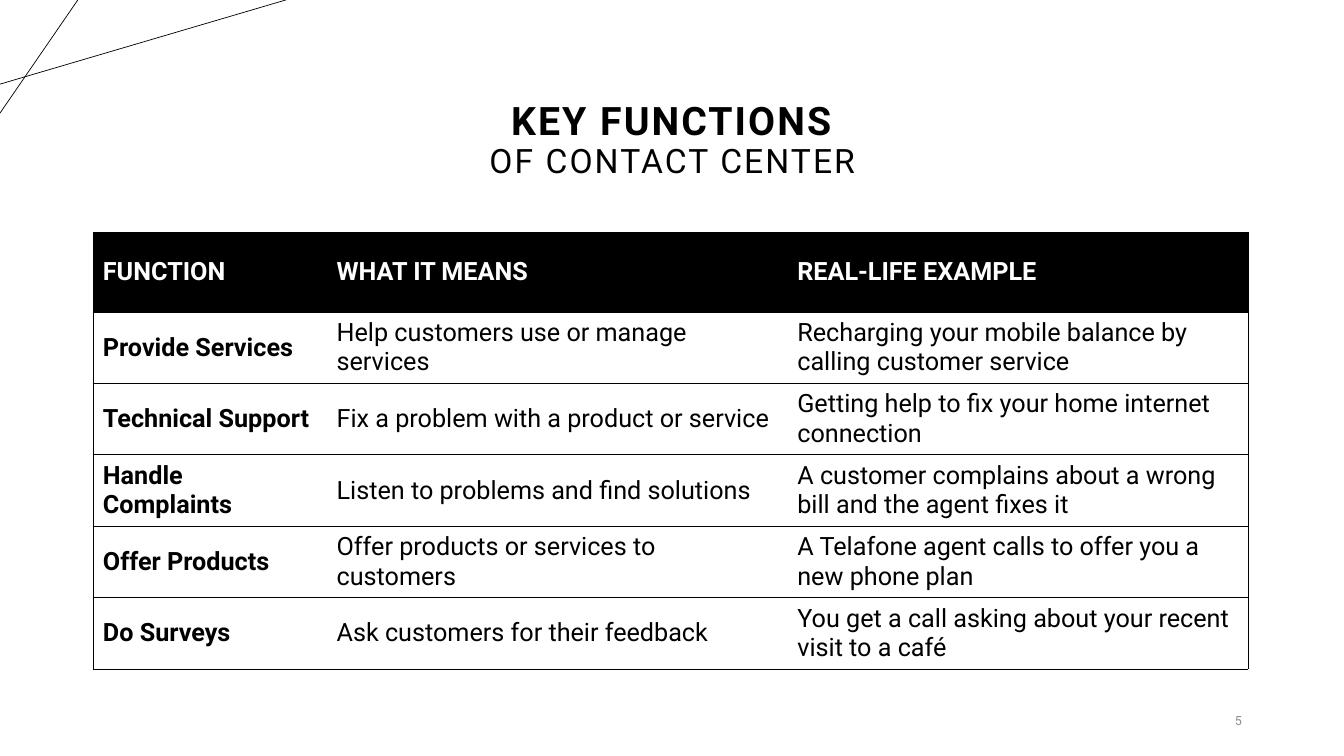
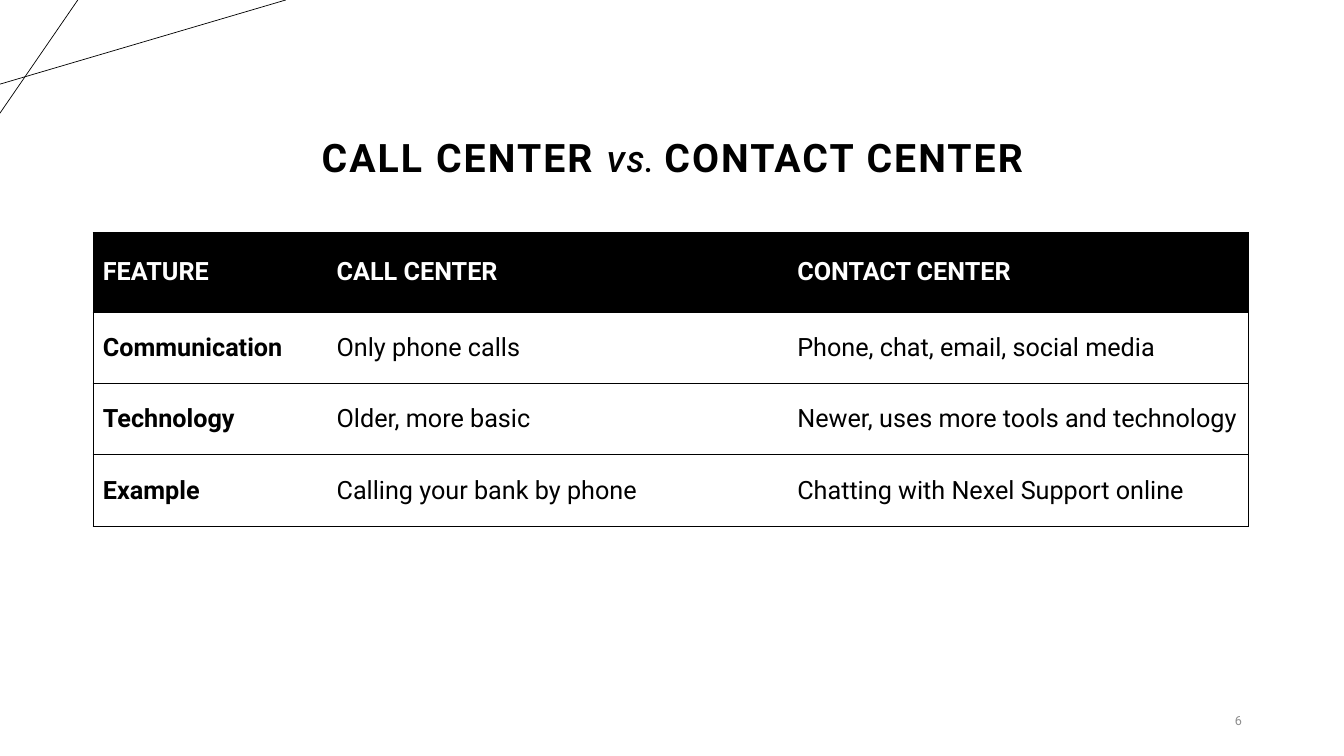
from copy import deepcopy
from lxml import etree
from pptx import Presentation
from pptx import util as u
from pptx.dml.color import RGBColor
from pptx.enum import shapes, text
from pptx.oxml import ns


def rgb(value):
    return RGBColor.from_string(value)


class Deck:
    FONT = "Roboto"
    BLACK, WHITE, GREY = "000000", "FFFFFF", "8C8C8C"
    LEFT = u.Cm(2.34)
    LINE = u.Pt(0.5)
    CORNER_LINES = [(0, 2.12, 7.2, 0), (1.96, 0, 0, 2.85)]
    COLUMNS = [5.89, 11.61, 11.61]
    HEADER_HEIGHT, ROW_HEIGHT = 2, 1.8

    def __init__(self):
        self.prs = Presentation()
        self.prs.slide_width = u.Cm(33.87)
        self.prs.slide_height = u.Cm(19.05)
        self.slide = None

    def add_slide(self, number, title, rows):
        self.slide = self.prs.slides.add_slide(self.prs.slide_layouts[5])
        for ends in self.CORNER_LINES:
            self.line(*ends)
        self.title(title)
        self.table(rows)
        self.page_number(number)

    def font(self, font, size, color, bold=False, italic=False):
        font.name = self.FONT
        font.size = u.Pt(size)
        font.bold = bold
        font.italic = italic
        font.color.rgb = rgb(color)

    def line(self, *ends):
        sp = self.slide.shapes.add_connector(
            shapes.MSO_CONNECTOR.STRAIGHT, *(u.Cm(end) for end in ends))
        sp.line.color.rgb = rgb(self.BLACK)
        sp.line.width = self.LINE
        etree.SubElement(sp._element.spPr, ns.qn("a:effectLst"))

    def title(self, parts):
        sp = self.slide.shapes.title
        sp.left, sp.top = self.LEFT, u.Cm(1)
        sp.width, sp.height = u.Cm(29.21), u.Cm(3.68)
        tf = sp.text_frame
        tf.auto_size = text.MSO_AUTO_SIZE.NONE
        tf.vertical_anchor = text.MSO_ANCHOR.BOTTOM
        p = tf.paragraphs[0]
        p.alignment = text.PP_ALIGN.CENTER
        p.line_spacing = 0.9
        for words, size, bold, italic in parts:
            r = p.add_run()
            r.text = words.rstrip("\n")
            self.font(r.font, size, self.BLACK, bold, italic)
            r._r.rPr.set("spc", "150")
            if words.endswith("\n"):
                p.add_line_break()
                p._p[-1].append(deepcopy(r._r.rPr))

    def table(self, rows):
        heights = [self.HEADER_HEIGHT] + [self.ROW_HEIGHT] * (len(rows) - 1)
        table = self.slide.shapes.add_table(
            len(rows), len(self.COLUMNS), self.LEFT, u.Cm(5.86),
            u.Cm(sum(self.COLUMNS)), u.Cm(sum(heights))).table
        table.horz_banding = False
        for column, width in zip(table.columns, self.COLUMNS):
            column.width = u.Cm(width)
        for i, (row, height) in enumerate(zip(rows, heights)):
            table.rows[i].height = u.Cm(height)
            for j, words in enumerate(row):
                self.cell(table.cell(i, j), words, i == 0, j)

    def cell(self, cell, words, header, column):
        cell.vertical_anchor = text.MSO_ANCHOR.MIDDLE
        if header:
            cell.fill.solid()
            cell.fill.fore_color.rgb = rgb(self.BLACK)
        else:
            cell.fill.background()
        p = cell.text_frame.paragraphs[0]
        p.text = words
        self.font(p.font, 18, self.WHITE if header else self.BLACK,
                  header or column == 0)
        self.borders(cell, column == 0, column == len(self.COLUMNS) - 1)

    def borders(self, cell, left, right):
        tcPr = cell._tc.get_or_add_tcPr()
        sides = {"L": left, "R": right, "T": True, "B": True}
        for i, (side, drawn) in enumerate(sides.items()):
            ln = etree.Element(ns.qn(f"a:ln{side}"), w=str(self.LINE))
            if drawn:
                fill = etree.SubElement(ln, ns.qn("a:solidFill"))
                etree.SubElement(fill, ns.qn("a:srgbClr"), val=self.BLACK)
            else:
                etree.SubElement(ln, ns.qn("a:noFill"))
            tcPr.insert(i, ln)

    def page_number(self, number):
        sp = self.slide.shapes.add_textbox(
            u.Cm(28.8), u.Cm(17.65), u.Cm(2.75), u.Cm(1.02))
        tf = sp.text_frame
        tf.word_wrap = True
        tf.vertical_anchor = text.MSO_ANCHOR.MIDDLE
        p = tf.paragraphs[0]
        p.text = str(number)
        p.alignment = text.PP_ALIGN.RIGHT
        self.font(p.font, 9, self.GREY)


FUNCTIONS = [
    ("FUNCTION", "WHAT IT MEANS", "REAL-LIFE EXAMPLE"),
    ("Provide Services", "Help customers use or manage services",
     "Recharging your mobile balance by calling customer service"),
    ("Technical Support", "Fix a problem with a product or service",
     "Getting help to fix your home internet connection"),
    ("Handle Complaints", "Listen to problems and find solutions",
     "A customer complains about a wrong bill and the agent fixes it"),
    ("Offer Products", "Offer products or services to customers",
     "A Telafone agent calls to offer you a new phone plan"),
    ("Do Surveys", "Ask customers for their feedback",
     "You get a call asking about your recent visit to a café"),
]

COMPARISON = [
    ("FEATURE", "CALL CENTER", "CONTACT CENTER"),
    ("Communication", "Only phone calls", "Phone, chat, email, social media"),
    ("Technology", "Older, more basic", "Newer, uses more tools and technology"),
    ("Example", "Calling your bank by phone", "Chatting with Nexel Support online"),
]


def main():
    deck = Deck()
    deck.add_slide(5, [("KEY FUNCTIONS\n", 28, True, False),
                       ("OF CONTACT CENTER", 24, False, False)], FUNCTIONS)
    deck.add_slide(6, [("CALL CENTER ", 28, True, False),
                       ("VS. ", 20, True, True),
                       ("CONTACT CENTER", 28, True, False)], COMPARISON)
    deck.prs.save("out.pptx")


if __name__ == "__main__":
    main()
